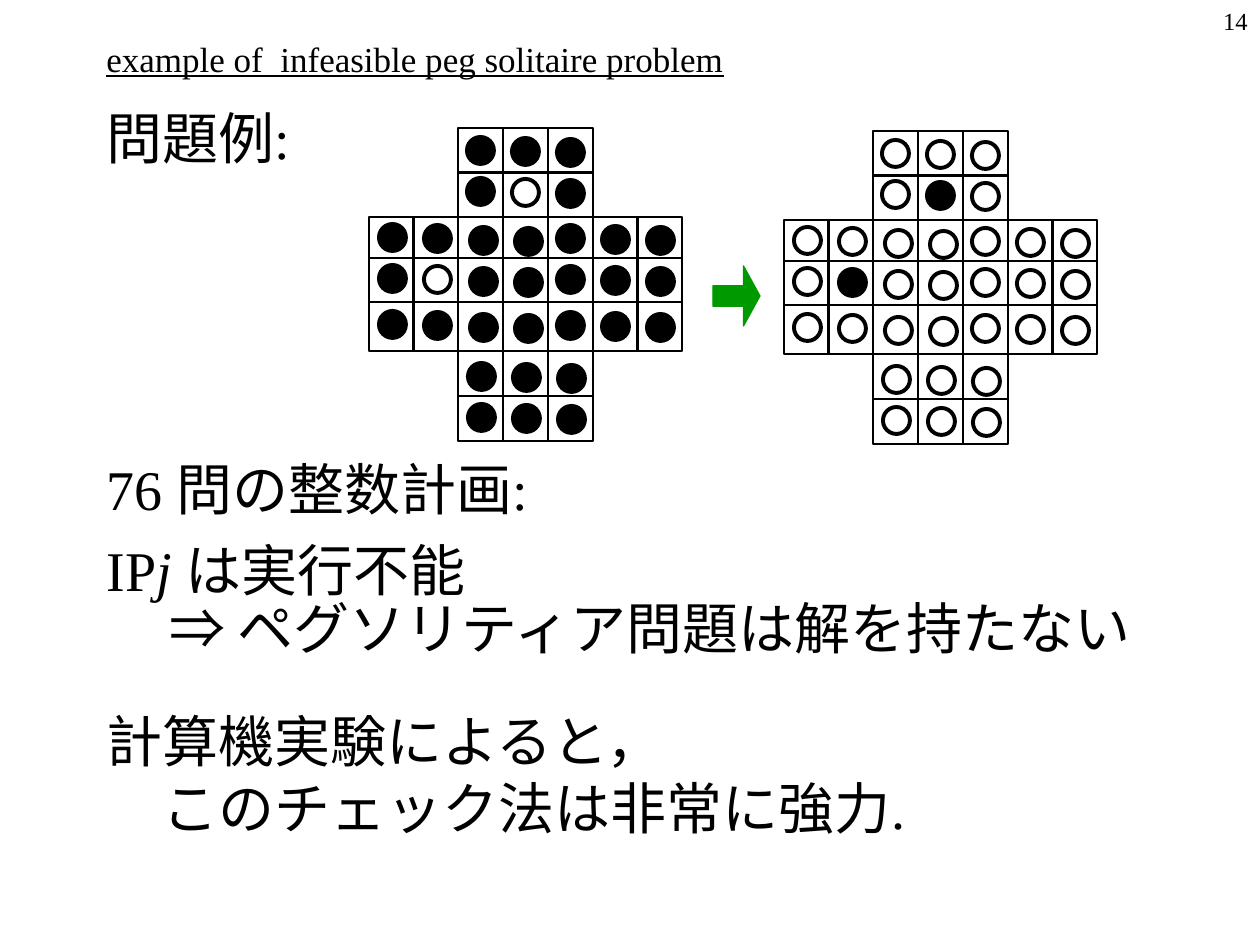
"""Builds the slide about an infeasible peg solitaire problem."""
from pptx import Presentation
from pptx.dml.color import RGBColor
from pptx.enum.shapes import MSO_CONNECTOR, MSO_SHAPE
from pptx.enum.text import MSO_ANCHOR, PP_ALIGN
from pptx.oxml.ns import qn
from pptx.util import Emu, Pt
from lxml.etree import SubElement

FONT = "Times New Roman"
BLACK = "000000"
GREEN = "009900"
COLUMN_EDGES = [0, 45, 89, 134, 179, 224, 268, 313]
ROW_EDGES = [0, 44, 89, 130, 174, 223, 268, 313]
PEG_SIZE = 27
PEG_PITCH = 45
PEG_ROWS = [0, 41, 87]
PEG_BLOCKS = {
    "left": (10, 96, 2, 3),
    "inner": (101, 99, 2, 3),
    "right": (188, 97, 3, 3),
    "top": (98, 9, 3, 2),
    "bottom": (99, 235, 3, 2),
}
MARKED_PEGS = {("top", 1, 1), ("left", 1, 1)}


def px(value):
    """Turn pixels, 126 to the inch, into EMU."""
    return Emu(round(value * 914400 / 126))


def color(value):
    """Turn a hex string into a colour."""
    return RGBColor.from_string(value)


def add_shape(shapes, kind, left, top, width, height, fill=None, line=BLACK, weight=1.5):
    """Add a preset shape with an optional fill."""
    shape = shapes.add_shape(kind, px(left), px(top), px(width), px(height))
    shape.shadow.inherit = False
    if fill:
        shape.fill.solid()
        shape.fill.fore_color.rgb = color(fill)
    else:
        shape.fill.background()
    shape.line.color.rgb = color(line)
    shape.line.width = Pt(weight)
    return shape


def add_divider(shapes, first, first_site, second, second_site):
    """Join two side midpoints with a straight line."""
    connector = shapes.add_connector(MSO_CONNECTOR.STRAIGHT, 0, 0, 0, 0)
    connector.begin_connect(first, first_site)
    connector.end_connect(second, second_site)
    connector.line.color.rgb = color(BLACK)
    connector.line.width = Pt(1.5)
    SubElement(connector._element.spPr, qn("a:effectLst"))


def add_grid(slide, left, top):
    """Draw the cross-shaped board as one group."""
    shapes = slide.shapes.add_group_shape().shapes

    def add_area(column, row, columns, rows):
        """Outline a block of board cells."""
        x, y = COLUMN_EDGES[column], ROW_EDGES[row]
        width = COLUMN_EDGES[column + columns] - x
        height = ROW_EDGES[row + rows] - y
        return add_shape(shapes, MSO_SHAPE.RECTANGLE, left + x, top + y, width, height)

    for area in [(2, 2, 3, 3), (0, 3, 7, 1), (3, 0, 1, 7)]:
        add_area(*area)
    for column in (0, 5):
        arm = add_area(column, 2, 2, 3)
        add_divider(shapes, arm, 0, arm, 2)
    for row in (5, 0):
        arm = add_area(2, row, 3, 2)
        add_divider(shapes, arm, 1, arm, 3)


def add_pegs(slide, left, top, marked_fill, other_fill):
    """Place the pegs and holes block by block."""
    for name, (x, y, columns, rows) in PEG_BLOCKS.items():
        for row in range(rows):
            for column in range(columns):
                marked = (name, column, row) in MARKED_PEGS
                add_shape(
                    slide.shapes, MSO_SHAPE.OVAL,
                    left + x + column * PEG_PITCH,
                    top + y + PEG_ROWS[row] + column,
                    PEG_SIZE, PEG_SIZE,
                    fill=marked_fill if marked else other_fill, weight=2.25,
                )


def add_text_box(slide, left, top, width, height, anchor=MSO_ANCHOR.TOP):
    """Add a wrapping text box and return its frame."""
    frame = slide.shapes.add_textbox(px(left), px(top), px(width), px(height)).text_frame
    frame.word_wrap = True
    frame.vertical_anchor = anchor
    return frame


def write(paragraph, text, size=32, italic=False, underline=False):
    """Add a formatted run to a paragraph."""
    run = paragraph.add_run()
    run.text = text
    run.font.name = FONT
    run.font.size = Pt(size)
    run.font.italic = italic
    run.font.underline = underline
    run.font.color.rgb = color(BLACK)


def add_body(slide):
    """Write the problem statement and its conclusions."""
    frame = add_text_box(slide, 94, 109, 1124, 763)
    lines = [
        (0, 0, ["問題例:"]),
        (168.5, 0, ["76 問の整数計画:"]),
        (14, 0, ["IP", "j ", "は実行不能"]),
        (1.5, 63, ["⇒ ペグソリティア問題は解を持たない"]),
        (32, 0, ["計算機実験によると，"]),
        (6.5, 56, ["このチェック法は非常に強力."]),
    ]
    for number, (space_before, indent, texts) in enumerate(lines):
        paragraph = frame.add_paragraph() if number else frame.paragraphs[0]
        paragraph._p.get_or_add_pPr().set("marL", str(px(indent)))
        paragraph.line_spacing = Pt(32)
        if number:
            paragraph.space_before = Pt(space_before)
        for text in texts:
            write(paragraph, text, italic=text == "j ")


def main():
    """Build and save the presentation."""
    presentation = Presentation()
    presentation.slide_width = px(1260)
    presentation.slide_height = px(945)
    slide = presentation.slides.add_slide(presentation.slide_layouts[6])

    title = add_text_box(slide, 94, 42, 809, 32, MSO_ANCHOR.MIDDLE)
    write(title.paragraphs[0], "example of  infeasible peg solitaire problem", size=20, underline=True)
    add_body(slide)

    boards = [(369, 128, None, BLACK), (784, 131, BLACK, None)]
    for left, top, marked_fill, other_fill in boards:
        add_grid(slide, left, top)
        add_pegs(slide, left, top, marked_fill, other_fill)

    arrow = add_shape(slide.shapes, MSO_SHAPE.RIGHT_ARROW, 713, 266, 47, 60, GREEN, GREEN, 0.75)
    arrow.adjustments[0] = 0.34
    arrow.adjustments[1] = 0.35

    page_number = add_text_box(slide, 998, 0, 262, 63).paragraphs[0]
    page_number.alignment = PP_ALIGN.RIGHT
    write(page_number, "14", size=14)
    presentation.save("out.pptx")


if __name__ == "__main__":
    main()
